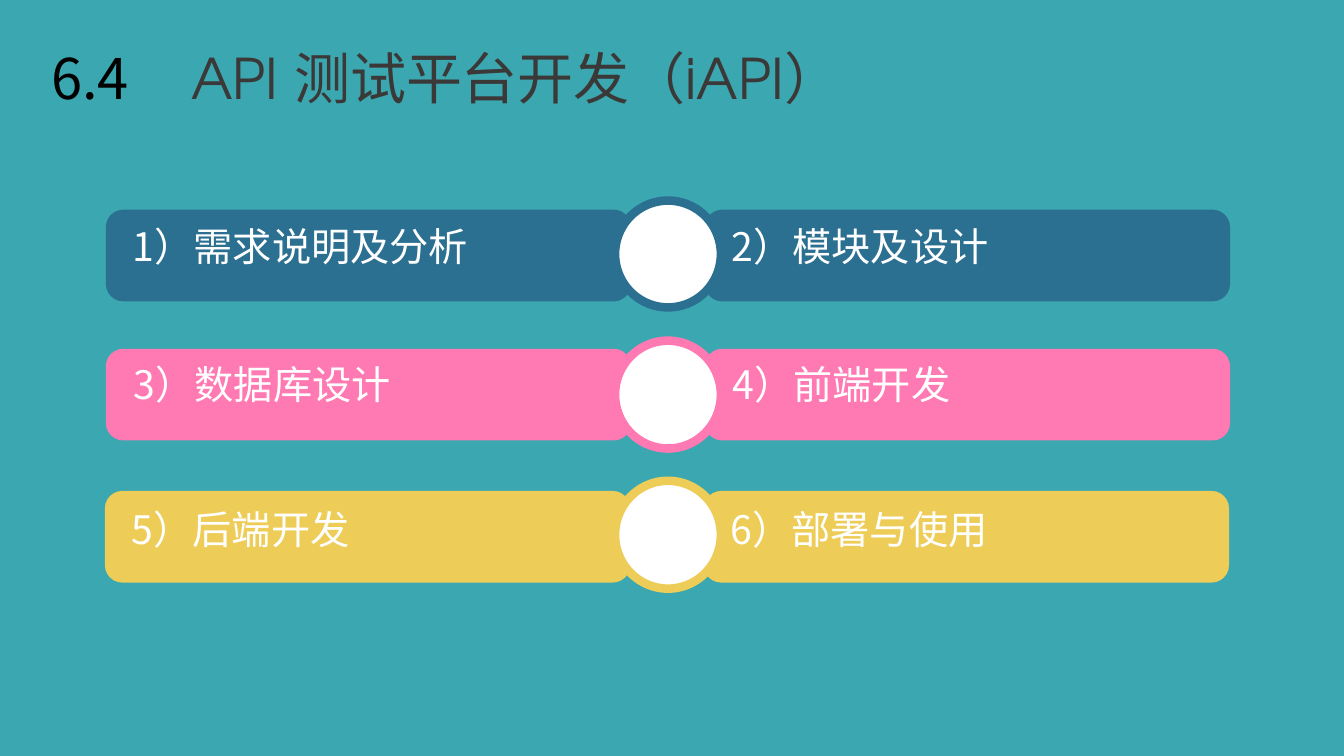
from dataclasses import dataclass

from lxml.etree import SubElement
from pptx import Presentation
from pptx.dml.color import RGBColor
from pptx.enum.shapes import MSO_SHAPE
from pptx.enum.text import MSO_AUTO_SIZE
from pptx.oxml.ns import qn
from pptx.shapes.autoshape import Shape
from pptx.slide import Slide
from pptx.util import Inches, Pt


@dataclass(frozen=True)
class Theme:
    background: str = "3BA7B0"
    white: str = "FFFFFF"
    number: str = "000000"
    title: str = "3B3838"
    blue: str = "2B6F91"
    pink: str = "FF7AB2"
    yellow: str = "EDCC58"
    cjk_font: str = "Noto Sans CJK SC"
    title_font: str = "TeX Gyre Adventor"
    title_size: int = 40
    item_size: int = 28
    ring_width: float = 6.13


@dataclass(frozen=True)
class TopicRow:
    topics: tuple[str, str]
    color: str
    left: float
    top: float
    text_dx: float
    text_dy: float
    ring_top: float
    ring_height: float


THEME = Theme()
COLUMN_STEP = 5.94
BAR_WIDTH, BAR_HEIGHT = 5.21, 0.91
RING_LEFT, RING_WIDTH = 6.1, 1.05

ROWS = (
    TopicRow(("1）需求说明及分析", "2）模块及设计"), THEME.blue,
             1.05, 2.08, 0.17, 0.08, 1.99, 1.06),
    TopicRow(("3）数据库设计", "4）前端开发"), THEME.pink,
             1.05, 3.46, 0.18, 0.07, 3.38, 1.07),
    TopicRow(("5）后端开发", "6）部署与使用"), THEME.yellow,
             1.04, 4.87, 0.17, 0.09, 4.77, 1.07),
)


def add_text(s: Slide, text: str, left: float, top: float, width: float,
             height: float, *, size: int = THEME.item_size,
             color: str = THEME.white, font: str = THEME.cjk_font) -> None:
    box = s.shapes.add_textbox(Inches(left), Inches(top), Inches(width), Inches(height))
    tf = box.text_frame
    tf.word_wrap = True
    tf.auto_size = MSO_AUTO_SIZE.SHAPE_TO_FIT_TEXT
    r = tf.paragraphs[0].add_run()
    r.text = text
    r.font.size = Pt(size)
    r.font.color.rgb = RGBColor.from_string(color)
    r.font.name = font
    # East Asian characters take their own typeface
    SubElement(r.font._element, qn("a:ea")).set("typeface", THEME.cjk_font)


def add_filled(s: Slide, kind: MSO_SHAPE, left: float, top: float,
               width: float, height: float, fill: str) -> Shape:
    sp = s.shapes.add_shape(kind, Inches(left), Inches(top), Inches(width), Inches(height))
    sp.shadow.inherit = False
    sp.fill.solid()
    sp.fill.fore_color.rgb = RGBColor.from_string(fill)
    sp.line.fill.background()
    return sp


def add_row(s: Slide, row: TopicRow) -> None:
    # Left and right bars with their topics
    for column, topic in enumerate(row.topics):
        left = row.left + column * COLUMN_STEP
        bar = add_filled(s, MSO_SHAPE.ROUNDED_RECTANGLE, left, row.top,
                         BAR_WIDTH, BAR_HEIGHT, row.color)
        bar.adjustments[0] = 0.19
        add_text(s, topic, left + row.text_dx, row.top + row.text_dy, 4.83, 0.57)
    # Ring joining the two bars
    ring = add_filled(s, MSO_SHAPE.OVAL, RING_LEFT, row.ring_top,
                      RING_WIDTH, row.ring_height, THEME.white)
    ring.line.color.rgb = RGBColor.from_string(row.color)
    ring.line.width = Pt(THEME.ring_width)


prs = Presentation()
prs.slide_width, prs.slide_height = Inches(13.33), Inches(7.5)
s = prs.slides.add_slide(prs.slide_layouts[6])
s.background.fill.solid()
s.background.fill.fore_color.rgb = RGBColor.from_string(THEME.background)

# Topic rows
for row in ROWS:
    add_row(s, row)

# Heading
add_text(s, "6.4", 0.41, 0.38, 1.66, 0.77, size=THEME.title_size, color=THEME.number)
add_text(s, "API 测试平台开发（iAPI）", 1.8, 0.38, 7.28, 0.77,
         size=THEME.title_size, color=THEME.title, font=THEME.title_font)

prs.save("out.pptx")
